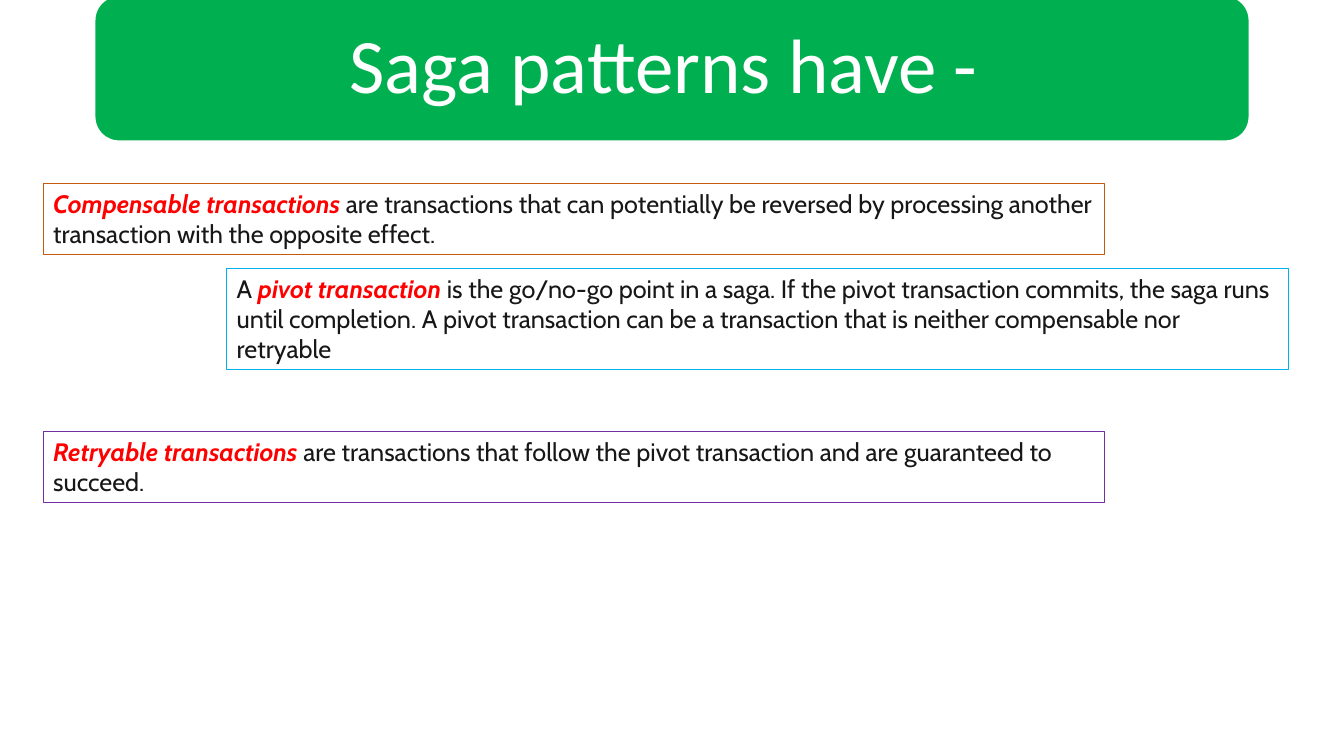
from dataclasses import dataclass

from pptx import Presentation
from pptx import util as u
from pptx.dml.color import RGBColor
from pptx.enum import shapes, text

# Content: each definition is a list of (words, is_key_term)
TITLE = "Saga patterns have - "
DEFINITIONS = [
    {"left": 0.43, "top": 1.82, "height": 0.71, "outline": "C55A11", "spans": [
        ("Compensable transactions ", True),
        ("are transactions that can potentially be reversed by processing "
         "another transaction with the opposite effect.", False)]},
    {"left": 2.25, "top": 2.66, "height": 1.01, "outline": "00B0F0", "spans": [
        ("A ", False),
        ("pivot transaction ", True),
        ("is the go/no-go point in a saga. If the pivot transaction commits, "
         "the saga runs until completion. A pivot transaction can be a "
         "transaction that is neither compensable nor retryable", False)]},
    {"left": 0.43, "top": 4.28, "height": 0.71, "outline": "7030A0", "spans": [
        ("Retryable transactions ", True),
        ("are transactions that follow the pivot transaction and are "
         "guaranteed to succeed.", False)]},
]
BANNER = (0.94, -0.04, 11.45, 1.44)
TITLE_INSET = 0.07
DEFINITION_WIDTH = 10.53


@dataclass(frozen=True)
class Theme:
    banner: str = "00B050"
    white: str = "FFFFFF"
    term: str = "FF0000"
    body: str = "171717"
    title_font: str = "Calibri"
    body_font: str = "Cabin"
    title_size: int = 55
    body_size: int = 18


THEME = Theme()


def style(font, name, size, color, emphasis=False):
    font.name = name
    font.size = u.Pt(size)
    font.color.rgb = RGBColor.from_string(color)
    font.bold = font.italic = emphasis


def add_box(page, kind, place, outline, weight):
    box = page.shapes.add_shape(kind, *map(u.Inches, place))
    box.shadow.inherit = False
    box.line.color.rgb = RGBColor.from_string(outline)
    box.line.width = u.Pt(weight)
    return box


def add_banner(page):
    banner = add_box(page, shapes.MSO_SHAPE.ROUNDED_RECTANGLE, BANNER, THEME.white, 1)
    banner.fill.solid()
    banner.fill.fore_color.rgb = RGBColor.from_string(THEME.banner)

    # The title sits inside the banner and in front of it
    title = page.shapes.title
    banner._element.addnext(title._element)
    left, top, width, height = BANNER
    title.left, title.top = u.Inches(left + TITLE_INSET), u.Inches(top + TITLE_INSET)
    title.width = u.Inches(width - 2 * TITLE_INSET)
    title.height = u.Inches(height - 2 * TITLE_INSET)
    frame = title.text_frame
    frame.text = TITLE
    frame.word_wrap = True
    frame.auto_size = text.MSO_AUTO_SIZE.NONE
    frame.vertical_anchor = text.MSO_ANCHOR.MIDDLE
    frame.margin_left = frame.margin_right = u.Inches(0.23)
    frame.margin_top = frame.margin_bottom = u.Inches(0.23)
    para = frame.paragraphs[0]
    para.alignment = text.PP_ALIGN.CENTER
    para.line_spacing = 0.9
    style(para.runs[0].font, THEME.title_font, THEME.title_size, THEME.white)


def add_definition(page, item):
    place = (item["left"], item["top"], DEFINITION_WIDTH, item["height"])
    box = add_box(page, shapes.MSO_SHAPE.RECTANGLE, place, item["outline"], 0.75)
    box.fill.background()
    frame = box.text_frame
    frame.word_wrap = True
    frame.auto_size = text.MSO_AUTO_SIZE.SHAPE_TO_FIT_TEXT
    frame.vertical_anchor = text.MSO_ANCHOR.TOP
    para = frame.paragraphs[0]
    para.alignment = text.PP_ALIGN.LEFT
    for words, is_term in item["spans"]:
        span = para.add_run()
        span.text = words
        color = THEME.term if is_term else THEME.body
        style(span.font, THEME.body_font, THEME.body_size, color, is_term)


def main():
    deck = Presentation()
    deck.slide_width, deck.slide_height = u.Inches(13.33), u.Inches(7.5)
    page = deck.slides.add_slide(deck.slide_layouts[5])
    add_banner(page)
    for item in DEFINITIONS:
        add_definition(page, item)
    deck.save("out.pptx")


if __name__ == "__main__":
    main()
